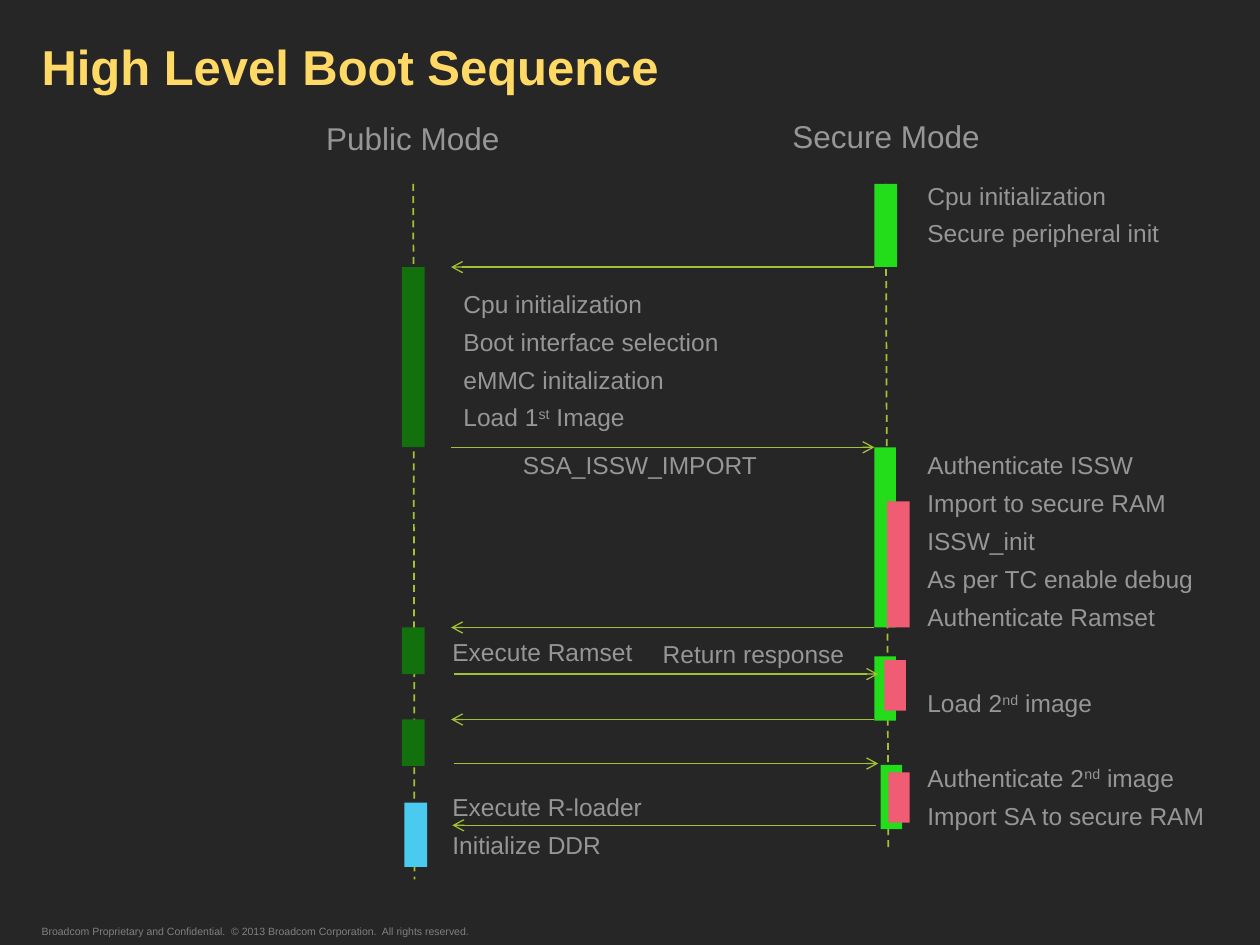
from lxml.etree import SubElement
from pptx import Presentation
from pptx.dml.color import RGBColor
from pptx.enum.dml import MSO_LINE_DASH_STYLE as Dash
from pptx.enum.shapes import MSO_CONNECTOR as Connector, MSO_SHAPE as Shape
from pptx.enum.text import MSO_ANCHOR as Anchor, MSO_AUTO_SIZE as AutoSize
from pptx.oxml.ns import qn
from pptx.util import Inches, Pt

deck = Presentation()
deck.slide_width, deck.slide_height = Inches(10), Inches(7.5)
slide = deck.slides.add_slide(deck.slide_layouts[6])
column = row = deck.slide_width / 100

rgb = RGBColor.from_string
slide.background.fill.solid()
slide.background.fill.fore_color.rgb = rgb("262626")

GREY, LIME = "969696", "A0C234"
PUBLIC_CODE, SECURE_CODE, ISSW_CODE, LOADER_CODE = "12710D", "23DC1A", "EF5C74", "4BCAEF"
PUBLIC, CALLS, SECURE, NOTES = 31.9, 35.8, 69.4, 73.6
HANDOVER, IMPORT, RESPONSE = 21.2, 35.5, 49.8
RAMSET_CALL, SECOND_LOAD, SECOND_CHECK, LOADER_START = 53.5, 57.1, 60.6, 65.5


def add_text(left, top, width, height, lines, size=14, color=GREY, bold=False,
             inset=0, wrap=True, anchor=Anchor.TOP, spacing=0.9):
    box = slide.shapes.add_textbox(int(left * column), int(top * row),
                                   int(width * column), int(height * row))
    frame = box.text_frame
    frame.word_wrap = wrap
    frame.auto_size = AutoSize.SHAPE_TO_FIT_TEXT
    frame.vertical_anchor = anchor
    frame.margin_left = frame.margin_right = Inches(inset)
    frame.margin_top = frame.margin_bottom = Inches(inset / 2)
    for index, line in enumerate(lines):
        paragraph = frame.paragraphs[0] if index == 0 else frame.add_paragraph()
        paragraph.line_spacing = spacing
        paragraph.space_before = Pt(6.5 if index else 0)
        for part, words in enumerate(line.split("^")):
            run = paragraph.add_run()
            run.text = words
            run.font.name, run.font.size, run.font.bold = "Arial", Pt(size), bold
            run.font.color.rgb = rgb(color)
            if part % 2:
                run.font._element.set("baseline", "30000")


def add_line(start, end, width, dashed=False):
    line = slide.shapes.add_connector(
        Connector.STRAIGHT, int(start[0] * column), int(start[1] * row),
        int(end[0] * column), int(end[1] * row))
    line.line.color.rgb = rgb(LIME)
    line.line.width = Pt(width)
    if dashed:
        line.line.dash_style = Dash.DASH
    else:
        SubElement(line.line._get_or_add_ln(), qn("a:tailEnd"), type="arrow")
    SubElement(line._element.spPr, qn("a:effectLst"))


add_text(3.3, 3.6, 85.4, 4, ["High Level Boot Sequence"], 28, "FFD966", True,
         anchor=Anchor.MIDDLE, spacing=0.85)
add_text(3.3, 73.4, 37, 1,
         ["Broadcom Proprietary and Confidential.  © 2013 Broadcom Corporation.  All rights reserved."],
         6, "808080", anchor=Anchor.MIDDLE, spacing=1)

for mode, left, top, width in [("Public Mode", 24.9, 9.3, 15.9), ("Secure Mode", 61.9, 9.1, 17)]:
    add_text(left, top, width, 3.7, [mode], 18, inset=0.1, wrap=False)

for start, end in [((70.3, 14.6), (70.5, 67.3)), ((32.8, 14.6), (32.9, 69.8))]:
    add_line(start, end, 1, dashed=True)

activations = [
    (SECURE, 14.6, 1.8, 6.6, SECURE_CODE),
    (PUBLIC, HANDOVER, 1.8, 14.3, PUBLIC_CODE),
    (SECURE, IMPORT, 1.7, 14.3, SECURE_CODE),
    (70.4, 39.8, 1.8, 10, ISSW_CODE),
    (PUBLIC, RESPONSE, 1.8, 3.7, PUBLIC_CODE),
    (SECURE, 52.1, 1.7, 5.1, SECURE_CODE),
    (70.2, 52.4, 1.7, 4, ISSW_CODE),
    (PUBLIC, SECOND_LOAD, 1.8, 3.7, PUBLIC_CODE),
    (69.9, 60.7, 1.7, 5.1, SECURE_CODE),
    (70.5, 61.3, 1.7, 4, ISSW_CODE),
    (32.1, 63.7, 1.8, 5.1, LOADER_CODE),
]
for left, top, width, height, color in activations:
    activation = slide.shapes.add_shape(Shape.RECTANGLE, int(left * column), int(top * row),
                                        int(width * column), int(height * row))
    activation.shadow.inherit = False
    activation.fill.solid()
    activation.fill.fore_color.rgb = rgb(color)
    activation.line.fill.background()

calls = [
    (SECURE, CALLS, HANDOVER),
    (CALLS, SECURE, IMPORT),
    (SECURE, CALLS, RESPONSE),
    (36, 69.7, RAMSET_CALL),
    (SECURE, CALLS, SECOND_LOAD),
    (36, 69.7, SECOND_CHECK),
    (69.5, 35.9, LOADER_START),
]
for caller, callee, level in calls:
    add_line((caller, level), (callee, level), 0.75)

add_text(CALLS, 22.7, 22.4, 12,
         ["Cpu initialization", "Boot interface selection", "eMMC initalization",
          "Load 1^st^ Image"], inset=0.1)

steps = [
    (NOTES, 14.6, 20.5, 5.1, ["Cpu initialization", "Secure peripheral init"]),
    (41.5, 36, 20.5, 2.1, ["SSA_ISSW_IMPORT"]),
    (NOTES, 36, 22.4, 14, ["Authenticate ISSW", "Import to secure RAM", "ISSW_init",
                           "As per TC enable debug", "Authenticate Ramset"]),
    (35.9, 50.8, 16.8, 2.1, ["Execute Ramset"]),
    (52.6, 51, 16.8, 5.1, ["Return response"]),
    (NOTES, 54.9, 24, 2.1, ["Load 2^nd^ image"]),
    (NOTES, 60.8, 24, 5.1, ["Authenticate 2^nd^ image", "Import SA to secure RAM"]),
    (35.9, 63.1, 20.5, 8, ["Execute R-loader", "Initialize DDR"]),
]
for left, top, width, height, lines in steps:
    add_text(left, top, width, height, lines)

deck.save("out.pptx")
